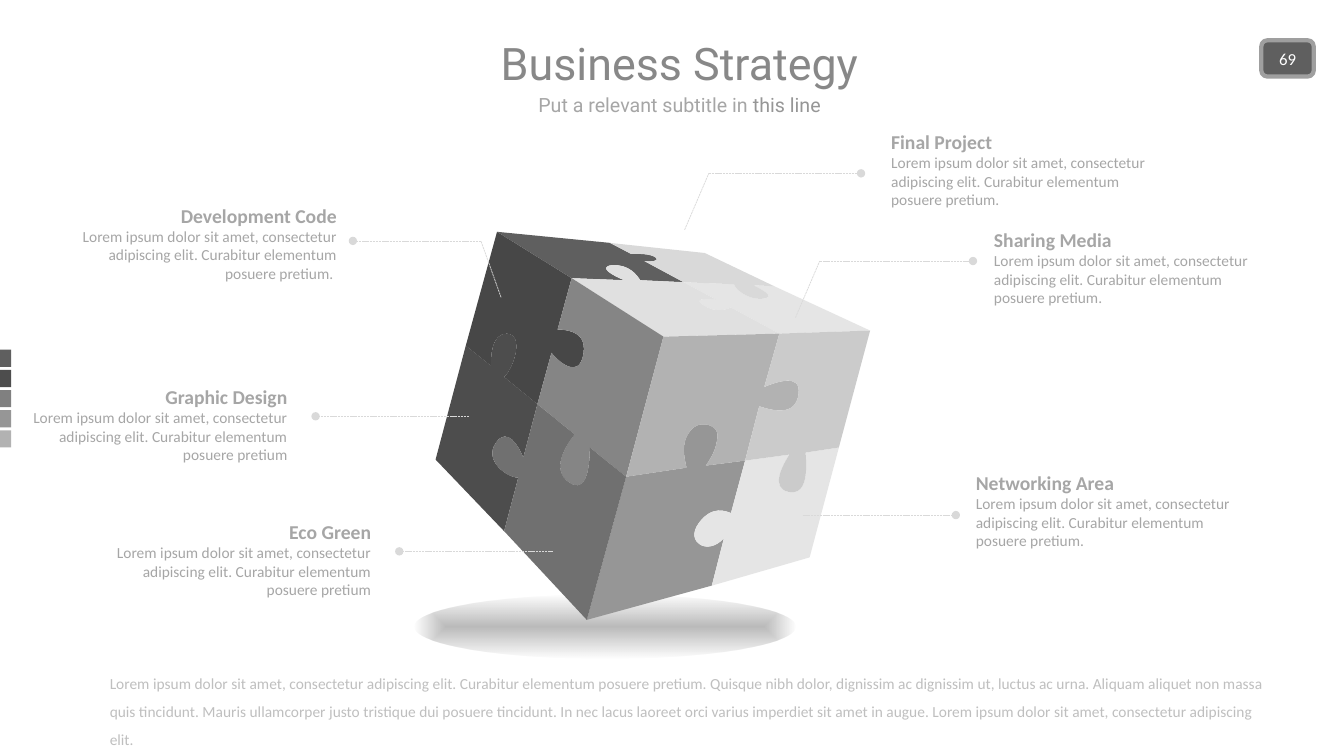
from pptx import Presentation
from pptx.dml.color import RGBColor
from pptx.enum.dml import MSO_LINE
from pptx.enum.shapes import MSO_CONNECTOR, MSO_SHAPE
from pptx.enum.text import MSO_ANCHOR, MSO_AUTO_SIZE, PP_ALIGN
from pptx.oxml import parse_xml
from pptx.oxml.ns import nsdecls
from pptx.util import Inches, Pt

LEFT, MID, RIGHT = PP_ALIGN.LEFT, PP_ALIGN.CENTER, PP_ALIGN.RIGHT
TOP, MIDDLE, BOTTOM = MSO_ANCHOR.TOP, MSO_ANCHOR.MIDDLE, MSO_ANCHOR.BOTTOM
BOX, ROUND, OVAL = MSO_SHAPE.RECTANGLE, MSO_SHAPE.ROUNDED_RECTANGLE, MSO_SHAPE.OVAL
LINE, DASH, FIXED = MSO_CONNECTOR.STRAIGHT, MSO_LINE.SQUARE_DOT, MSO_AUTO_SIZE.NONE

LOREM = "Lorem ipsum dolor sit amet, consectetur adipiscing elit."
SHORT = LOREM + " Curabitur elementum posuere pretium"
LONG = (SHORT + ". Quisque nibh dolor, dignissim ac dignissim ut, luctus ac urna. "
        "Aliquam aliquet non massa quis tincidunt. Mauris ullamcorper justo tristique "
        "dui posuere tincidunt. In nec lacus laoreet orci varius imperdiet sit amet in "
        "augue. " + LOREM)

MARKS = ["5F5F5F", "4D4D4D", "808080", "969696", "B2B2B2"]

CORNERS = {
    "A": (4.93, 2.3), "B": (6.05, 2.41), "C": (6.99, 2.51),
    "D": (5.67, 2.76), "E": (6.78, 2.8), "F": (7.68, 2.84),
    "G": (6.58, 3.34), "H": (7.73, 3.31), "I": (8.63, 3.28),
    "J": (4.62, 3.43), "K": (5.33, 4.01), "L": (6.21, 4.73),
    "M": (7.39, 4.57), "N": (8.32, 4.44), "O": (4.32, 4.56),
    "P": (5, 5.27), "Q": (5.82, 6.15), "R": (7.06, 5.81), "S": (8.03, 5.53),
}

SEAMS = {
    "BE": [(6.26, 2.52), (6.31, 2.52), (6.45, 2.51), (6.51, 2.56),
           (6.54, 2.59), (6.45, 2.6), (6.39, 2.59)],
    "DE": [(6.19, 2.78), (6.09, 2.74), (5.92, 2.65), (6.07, 2.63),
           (6.24, 2.62), (6.32, 2.73), (6.35, 2.78)],
    "EF": [(7.28, 2.82), (7.31, 2.9), (7.47, 2.99), (7.59, 2.96),
           (7.68, 2.94), (7.56, 2.87), (7.47, 2.83)],
    "EH": [(7.1, 2.97), (7, 2.96), (6.87, 2.96), (6.98, 3.03),
           (7.09, 3.1), (7.19, 3.08), (7.25, 3.05)],
    "DK": [(5.53, 3.27), (5.64, 3.27), (5.84, 3.3), (5.78, 3.54),
           (5.73, 3.74), (5.56, 3.61), (5.47, 3.5)],
    "JK": [(4.87, 3.63), (4.87, 3.54), (4.87, 3.31), (5.03, 3.31),
           (5.2, 3.32), (5.1, 3.65), (5, 3.74)],
    "KP": [(5.19, 4.54), (5.15, 4.43), (5.03, 4.23), (4.92, 4.39),
           (4.79, 4.57), (5.03, 4.74), (5.14, 4.74)],
    "KL": [(5.7, 4.31), (5.62, 4.41), (5.45, 4.66), (5.65, 4.79),
           (5.82, 4.9), (5.85, 4.63), (5.85, 4.44)],
    "HM": [(7.58, 3.84), (7.7, 3.79), (7.95, 3.7), (7.92, 3.91),
           (7.89, 4.14), (7.65, 4.07), (7.53, 4.03)],
    "LM": [(6.81, 4.64), (6.8, 4.59), (6.77, 4.48), (6.79, 4.4),
           (6.8, 4.33), (6.87, 4.19), (7, 4.21), (7.15, 4.24),
           (7.12, 4.34), (7.1, 4.42), (7.09, 4.48), (7.03, 4.58), (7, 4.62)],
    "MN": [(7.83, 4.51), (7.76, 4.62), (7.64, 4.84), (7.82, 4.88),
           (8.02, 4.92), (8, 4.63), (7.99, 4.49)],
    "MR": [(7.25, 5.09), (7.2, 5.07), (7.06, 5.01), (6.93, 5.19),
           (6.79, 5.38), (7.02, 5.52), (7.18, 5.34)],
}

PIECES = [("LMRQ", "969696"), ("EFIH", "E5E5E5"), ("ABED", "5F5F5F"),
          ("BCFE", "D9D9D9"), ("DEHG", "E0E0E0"), ("ADKJ", "474747"),
          ("DGLK", "858585"), ("GHML", "B2B2B2"), ("MNSR", "E5E5E5"),
          ("HINM", "CBCBCB"), ("JKPO", "4D4D4D"), ("KLQP", "707070")]

NOTES = [
    ("Final Project", ".", LEFT, (8.74, 1.24, 2.95, 0.97),
     [(6.79, 2.28), (7.03, 1.72), (8.54, 1.72)]),
    ("Sharing Media", ".", LEFT, (9.76, 2.21, 2.95, 0.97),
     [(7.89, 3.15), (8.13, 2.59), (9.65, 2.59)]),
    ("Networking Area", ".", LEFT, (9.58, 4.62, 2.95, 0.97), [(7.96, 5.11), (9.48, 5.11)]),
    ("Development Code", ". ", RIGHT, (0.49, 1.97, 2.95, 0.99),
     [(4.97, 2.95), (4.77, 2.39), (3.5, 2.39)]),
    ("Graphic Design", "", RIGHT, (0, 3.77, 2.95, 0.94), [(4.65, 4.13), (3.13, 4.13)]),
    ("Eco Green", "", RIGHT, (0.83, 5.11, 2.95, 0.94), [(5.48, 5.47), (3.96, 5.47)]),
]


def tint(code):
    return RGBColor.from_string(code)


def edge(start, end):
    """Return the steps from a corner: one point for a line, three for a curve."""
    seam = SEAMS.get(start + end) or SEAMS.get(end + start, [])[::-1]
    curves = [seam[n:n + 3] for n in range(1, len(seam), 3)]
    return [[CORNERS[start]]] + ([seam[:1]] if seam else []) + curves


class Deck:
    """Hold the style and the slide, on a grid of 13.33 columns by 7.5 rows."""

    def __init__(self):
        self.show = Presentation()
        self.show.slide_width, self.show.slide_height = self.grid(13.33, 7.5)
        self.slide = self.show.slides.add_slide(self.show.slide_layouts[0])
        self.shapes = self.slide.shapes

    def grid(self, *cells):
        return [Inches(cell) for cell in cells]

    def frame(self, shape, parts, size, code, face="Calibri", align=LEFT,
              anchor=TOP, space=None, bold=None):
        """Fill one paragraph with runs and return the last one."""
        frame = shape.text_frame
        frame.word_wrap, frame.auto_size = True, FIXED
        frame.vertical_anchor = anchor
        para = frame.paragraphs[0]
        para.alignment, para.line_spacing, para.space_before = align, space, Pt(0)
        font = para.font
        font.name, font.size, font.bold = face, Pt(size), bold
        font.color.rgb = tint(code)
        for n, text in enumerate(parts):
            if n and bold:
                para.add_line_break()
            run = para.add_run()
            run.text = text
        return run

    def holder(self, index, at, *args, **style):
        shape = self.slide.placeholders[index]
        shape.left, shape.top, shape.width, shape.height = self.grid(*at)
        return self.frame(shape, *args, **style)

    def text(self, at, *args, **style):
        return self.frame(self.shapes.add_textbox(*self.grid(*at)), *args, **style)

    def paint(self, shape, code):
        shape.shadow.inherit = False
        shape.fill.solid()
        shape.fill.fore_color.rgb = tint(code)
        shape.line.fill.background()
        return shape

    def shape(self, kind, at, code):
        return self.paint(self.shapes.add_shape(kind, *self.grid(*at)), code)

    def shade(self, at):
        """Draw an oval that fades from its centre."""
        oval = self.shape(OVAL, at, "000000")
        solid = oval._element.xpath("./p:spPr/a:solidFill")[0]
        stops = "".join(
            f'<a:gs pos="{pos}"><a:srgbClr val="000000"><a:alpha val="{alpha}"/>'
            '</a:srgbClr></a:gs>' for pos, alpha in ((0, 27000), (100000, 0)))
        solid.getparent().replace(solid, parse_xml(
            f'<a:gradFill {nsdecls("a")} rotWithShape="1"><a:gsLst>{stops}</a:gsLst>'
            '<a:path path="shape"><a:fillToRect l="50000" t="50000" r="50000" '
            'b="50000"/></a:path></a:gradFill>'))

    def piece(self, loop, code):
        """Draw a puzzle piece, with true curves for its tabs."""
        steps = [step for pair in zip(loop, loop[1:] + loop[0]) for step in edge(*pair)]
        first, *rest = [self.grid(*step[-1]) for step in steps]
        form = self.shapes.build_freeform(*first)
        form.add_line_segments(rest, close=True)
        shape = self.paint(form.convert_to_shape(), code)
        for line, step in zip(shape._element.xpath(".//a:lnTo"), steps[1:]):
            if len(step) == 3:
                spots = [self.grid(*point) for point in step]
                points = "".join(f'<a:pt x="{x - shape.left}" y="{y - shape.top}"/>'
                                 for x, y in spots)
                line.getparent().replace(line, parse_xml(
                    f'<a:cubicBezTo {nsdecls("a")}>{points}</a:cubicBezTo>'))

    def lead(self, points):
        """Draw a dashed line through the points, with a dot at its end."""
        for start, end in zip(points, points[1:]):
            link = self.shapes.add_connector(LINE, *self.grid(*start, *end))
            link.line.color.rgb = tint("D9D9D9")
            link.line.width, link.line.dash_style = Pt(0.5), DASH
            props = link._element.spPr
            props.append(parse_xml(f'<a:effectLst {nsdecls("a")}/>'))
        props.xpath("./a:ln")[0].append(
            parse_xml(f'<a:tailEnd {nsdecls("a")} type="oval"/>'))

    def note(self, name, tail, side, at, points):
        self.lead(points)
        run = self.text(at, [name, SHORT + tail], 14, "A6A6A6", align=side, bold=True)
        run.font.size, run.font.bold = Pt(11), False


def main():
    deck = Deck()
    deck.holder(0, (0.99, 0.19, 11.5, 0.76), ["Business Strategy"], 32, "888888",
                "Roboto", MID, BOTTOM, 0.9)
    run = deck.holder(1, (0.99, 0.9, 11.5, 0.55), ["Put a relevant subtitle in ", "this line"],
                      14, "A6A6A6", "Roboto", MID, TOP, 0.9)
    run.font.color.rgb = tint("969696")
    badge = deck.shape(ROUND, (12.51, 0.4, 0.52, 0.36), "5F5F5F")
    badge.line.color.rgb, badge.line.width = tint("9F9F9F"), Pt(3)
    deck.frame(badge, ["69"], 12, "FFFFFF", align=MID, anchor=MIDDLE)
    for n, code in enumerate(MARKS):
        mark = deck.shape(BOX, (-0.03, 3.5 + 0.2 * n, 0.17, 0.11), code)
        mark.rotation = 90
    deck.shade((4.11, 5.9, 3.78, 0.63))
    for loop, code in PIECES:
        deck.piece(loop, code)
    for note in NOTES:
        deck.note(*note)
    deck.text((0.99, 6.55, 11.78, 0.84), [LONG], 11, "BFBFBF", space=1.5)
    deck.show.save("out.pptx")


if __name__ == "__main__":
    main()
